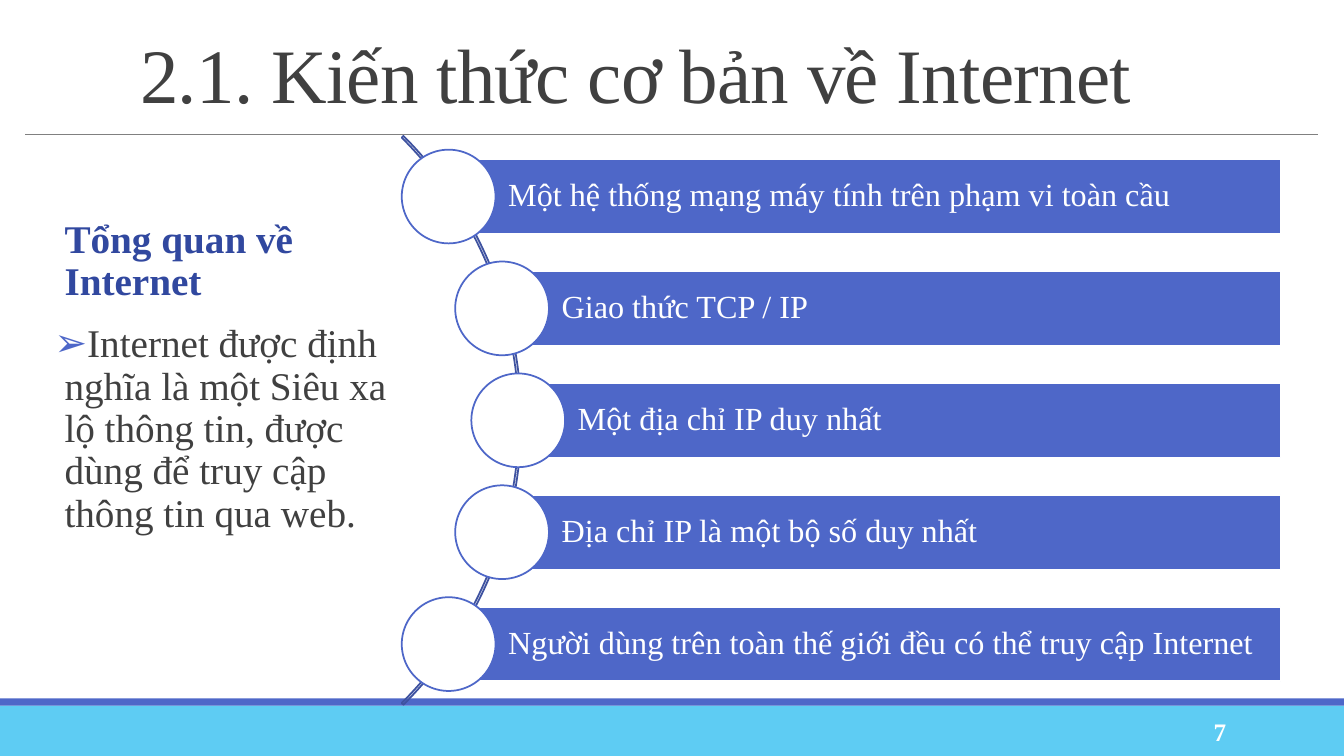
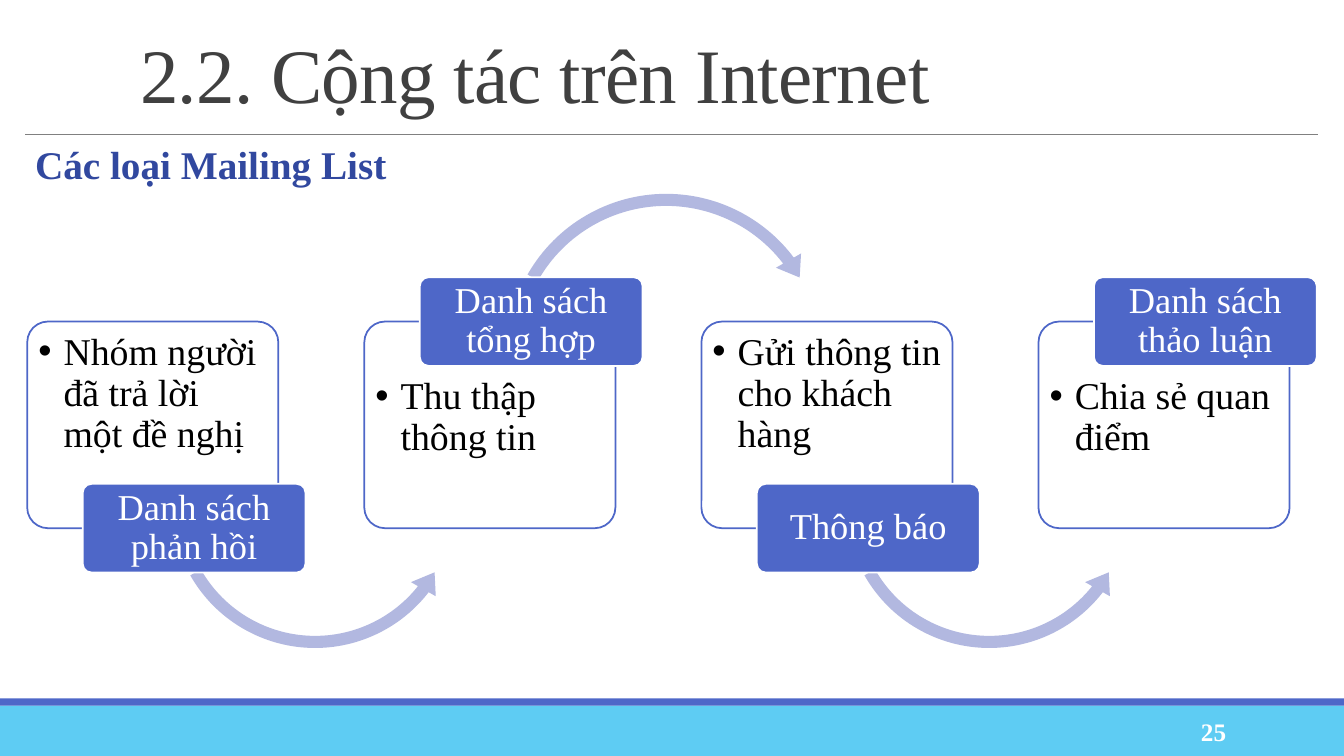
from dataclasses import dataclass
from typing import Optional

from lxml import etree
from pptx import Presentation
from pptx.dml.color import RGBColor
from pptx.enum.shapes import MSO_CONNECTOR, MSO_SHAPE
from pptx.enum.text import MSO_ANCHOR, MSO_AUTO_SIZE, PP_ALIGN
from pptx.oxml.ns import qn
from pptx.util import Inches, Pt

RECT = MSO_SHAPE.RECTANGLE
ROUNDED = MSO_SHAPE.ROUNDED_RECTANGLE
OVAL = MSO_SHAPE.OVAL
BLOCK_ARC = MSO_SHAPE.BLOCK_ARC
ARROW_OVER = MSO_SHAPE.CIRCULAR_ARROW
ARROW_UNDER = MSO_SHAPE.LEFT_CIRCULAR_ARROW
STRAIGHT = MSO_CONNECTOR.STRAIGHT
TOP, MIDDLE = MSO_ANCHOR.TOP, MSO_ANCHOR.MIDDLE
LEFT, CENTER, RIGHT = PP_ALIGN.LEFT, PP_ALIGN.CENTER, PP_ALIGN.RIGHT

FONT = "Times New Roman"
BLUE, SKY, NAVY, ARC_BLUE = "4E67C8", "5ECCF3", "31489F", "3E52A0"
LILAC, DARK, GRAY = "B2B8E0", "404040", "808080"
WHITE, BLACK = "FFFFFF", "000000"

SLIDE_W, SLIDE_H = 13.33, 7.5
TITLE_ONLY = 5


@dataclass(frozen=True)
class Style:
    size: float
    color: str
    bold: bool = False
    align: PP_ALIGN = LEFT
    line_spacing: float = 0.9


@dataclass(frozen=True)
class Bullet:
    char: str
    indent: float
    color: str


@dataclass(frozen=True)
class Box:
    left: float
    top: float
    width: float
    height: float

    def lengths(self) -> tuple:
        return tuple(Inches(v) for v in (self.left, self.top, self.width, self.height))


@dataclass(frozen=True)
class Fact:
    left: float
    text: str


@dataclass(frozen=True)
class ListType:
    label: str
    detail: str


TITLE = Style(55, DARK, line_spacing=0.85)
HEADING = Style(28, NAVY, bold=True)
BODY = Style(28, DARK)
PAGE_NUMBER = Style(18, WHITE, bold=True, align=RIGHT, line_spacing=1)
BAR_TEXT = Style(23, WHITE)
CARD_TEXT = Style(27, BLACK)
LABEL_TEXT = Style(26, WHITE, align=CENTER)

ARROWHEAD = Bullet("➢", 0.1, BLUE)
DOT = Bullet("•", 0.25, BLACK)

FACTS = [
    Fact(4.45, "Một hệ thống mạng máy tính trên phạm vi toàn cầu"),
    Fact(4.98, "Giao thức TCP / IP"),
    Fact(5.14, "Một địa chỉ IP duy nhất"),
    Fact(4.98, "Địa chỉ IP là một bộ số duy nhất"),
    Fact(4.45, "Người dùng trên toàn thế giới đều có thể truy cập Internet"),
]

LIST_TYPES = [
    ListType("Danh sách phản hồi", "Nhóm người đã trả lời một đề nghị"),
    ListType("Danh sách tổng hợp", "Thu thập thông tin"),
    ListType("Thông báo", "Gửi thông tin cho khách hàng"),
    ListType("Danh sách thảo luận", "Chia sẻ quan điểm"),
]


def rgb(color: str) -> RGBColor:
    return RGBColor.from_string(color)


def set_frame(tf, anchor=TOP, insets=(0.1, 0.05, 0.1, 0.05)) -> None:
    """Insets run left, top, right, bottom, in inches."""
    tf.word_wrap = True
    tf.auto_size = MSO_AUTO_SIZE.NONE
    tf.vertical_anchor = anchor
    (tf.margin_left, tf.margin_top,
     tf.margin_right, tf.margin_bottom) = (Inches(v) for v in insets)


def write(p, text: str, style: Style, bullet: Optional[Bullet] = None):
    if bullet:
        set_bullet(p, bullet)
    p.alignment = style.align
    p.line_spacing = style.line_spacing
    r = p.add_run()
    r.text = text
    r.font.name = FONT
    r.font.size = Pt(style.size)
    r.font.bold = style.bold
    r.font.color.rgb = rgb(style.color)
    return r


def set_bullet(p, bullet: Bullet) -> None:
    pPr = p._p.get_or_add_pPr()
    pPr.set("marL", str(Inches(bullet.indent)))
    pPr.set("indent", str(-Inches(bullet.indent)))
    color = etree.SubElement(pPr, qn("a:buClr"))
    etree.SubElement(color, qn("a:srgbClr")).set("val", bullet.color)
    etree.SubElement(pPr, qn("a:buFont")).set("typeface", "Arial")
    etree.SubElement(pPr, qn("a:buChar")).set("char", bullet.char)


def add_shape(s, kind, box: Box, fill: Optional[str] = None,
              line: Optional[str] = None, adjustments=()):
    sp = s.shapes.add_shape(kind, *box.lengths())
    sp.shadow.inherit = False
    if fill:
        sp.fill.solid()
        sp.fill.fore_color.rgb = rgb(fill)
    else:
        sp.fill.background()
    if line:
        sp.line.color.rgb = rgb(line)
        sp.line.width = Pt(1.25)
    else:
        sp.line.fill.background()
    for i, value in enumerate(adjustments):
        sp.adjustments[i] = value
    return sp


def add_text_box(s, box: Box, anchor=TOP, insets=(0.1, 0.05, 0.1, 0.05)):
    tf = s.shapes.add_textbox(*box.lengths()).text_frame
    set_frame(tf, anchor, insets)
    return tf


def add_slide(prs, title: str, number: int):
    """Add a slide with the shared footer bands, rule, title and page number."""
    s = prs.slides.add_slide(prs.slide_layouts[TITLE_ONLY])
    add_shape(s, RECT, Box(0, 7, SLIDE_W, 0.5), SKY)
    add_shape(s, RECT, Box(0, 6.93, SLIDE_W, 0.07), BLUE)

    rule = s.shapes.add_connector(
        STRAIGHT, Inches(0.25), Inches(1.33), Inches(13.07), Inches(1.33))
    rule.line.color.rgb = rgb(GRAY)
    rule.line.width = Pt(0.5)
    etree.SubElement(rule._element.spPr, qn("a:effectLst"))

    sp = s.shapes.title
    sp.left, sp.top, sp.width, sp.height = Box(1.29, 0.31, 11.78, 0.96).lengths()
    set_frame(sp.text_frame, MIDDLE)
    r = write(sp.text_frame.paragraphs[0], title, TITLE)
    r._r.get_or_add_rPr().set("spc", "-50")

    tf = add_text_box(s, Box(10.83, 7.06, 1.43, 0.4), MIDDLE)
    write(tf.paragraphs[0], str(number), PAGE_NUMBER)
    return s


def add_heading(s, box: Box, text: str):
    tf = add_text_box(s, box, insets=(0.1, 0.05, 0, 0.05))
    write(tf.paragraphs[0], text, HEADING)
    return tf


def add_fact(s, fact: Fact, middle: float) -> None:
    """Draw a bar with a circle centred on its left end."""
    right, height, diameter = 12.7, 0.74, 0.93
    bar = add_shape(
        s, RECT, Box(fact.left, middle - height / 2, right - fact.left, height),
        BLUE, WHITE)
    set_frame(bar.text_frame, MIDDLE, (0.59, 0.06, 0.06, 0.06))
    write(bar.text_frame.paragraphs[0], fact.text, BAR_TEXT)
    radius = diameter / 2
    add_shape(s, OVAL, Box(fact.left - radius, middle - radius, diameter, diameter),
              WHITE, BLUE)


def add_list_type(s, item: ListType, left: float, label_above: bool,
                  has_arrow: bool) -> None:
    card = add_shape(s, ROUNDED, Box(left, 3.19, 2.49, 2.05), WHITE, BLUE, [0.1])
    set_frame(card.text_frame, TOP, (0.05, 0.49 if label_above else 0.05, 0.05, 0.05))
    write(card.text_frame.paragraphs[0], item.detail, CARD_TEXT, DOT)

    if has_arrow and label_above:
        add_shape(s, ARROW_OVER, Box(left + 1.33, 1.84, 3.33, 3.33), LILAC,
                  adjustments=[0.036, 4.543, 193.702, 125.755, 0.043])
    elif has_arrow:
        add_shape(s, ARROW_UNDER, Box(left + 1.35, 3.5, 3.01, 3.01), LILAC,
                  adjustments=[0.04, 5.07, 22.825, 90.245, 0.047])

    label = add_shape(s, ROUNDED, Box(left + 0.55, 2.75 if label_above else 4.8, 2.21, 0.88),
                      BLUE, WHITE, [0.1])
    set_frame(label.text_frame, MIDDLE, (0.05, 0.04, 0.05, 0.04))
    write(label.text_frame.paragraphs[0], item.label, LABEL_TEXT)


def build_internet_basics(prs) -> None:
    s = add_slide(prs, "2.1. Kiến thức cơ bản về Internet", 7)
    tf = add_heading(s, Box(0.54, 2.13, 3.35, 3.24), "Tổng quan về Internet")
    tf.margin_left = 0
    tf.paragraphs[0]._p.get_or_add_pPr().set("marL", str(Inches(0.1)))
    tf.paragraphs[0].space_after = Pt(2)
    p = tf.add_paragraph()
    write(p, "Internet được định nghĩa là một Siêu xa lộ thông tin, "
             "được dùng để truy cập thông tin qua web.", BODY, ARROWHEAD)
    p.space_before = Pt(12)

    add_shape(s, BLOCK_ARC, Box(-2.81, 0.18, 7.98, 7.98), line=ARC_BLUE,
              adjustments=[189, 27, 0.003])
    for i, fact in enumerate(FACTS):
        add_fact(s, fact, 1.95 + 1.11 * i)


def build_mailing_lists(prs) -> None:
    s = add_slide(prs, "2.2. Cộng tác trên Internet", 25)
    add_heading(s, Box(0.25, 1.4, 12.82, 0.6), "Các loại Mailing List")
    last = len(LIST_TYPES) - 1
    for i, item in enumerate(LIST_TYPES):
        add_list_type(s, item, 0.27 + 10.03 / last * i,
                      label_above=i % 2 == 1, has_arrow=i < last)


def main() -> None:
    prs = Presentation()
    prs.slide_width, prs.slide_height = Inches(SLIDE_W), Inches(SLIDE_H)
    build_internet_basics(prs)
    build_mailing_lists(prs)
    prs.save("out.pptx")


if __name__ == "__main__":
    main()
